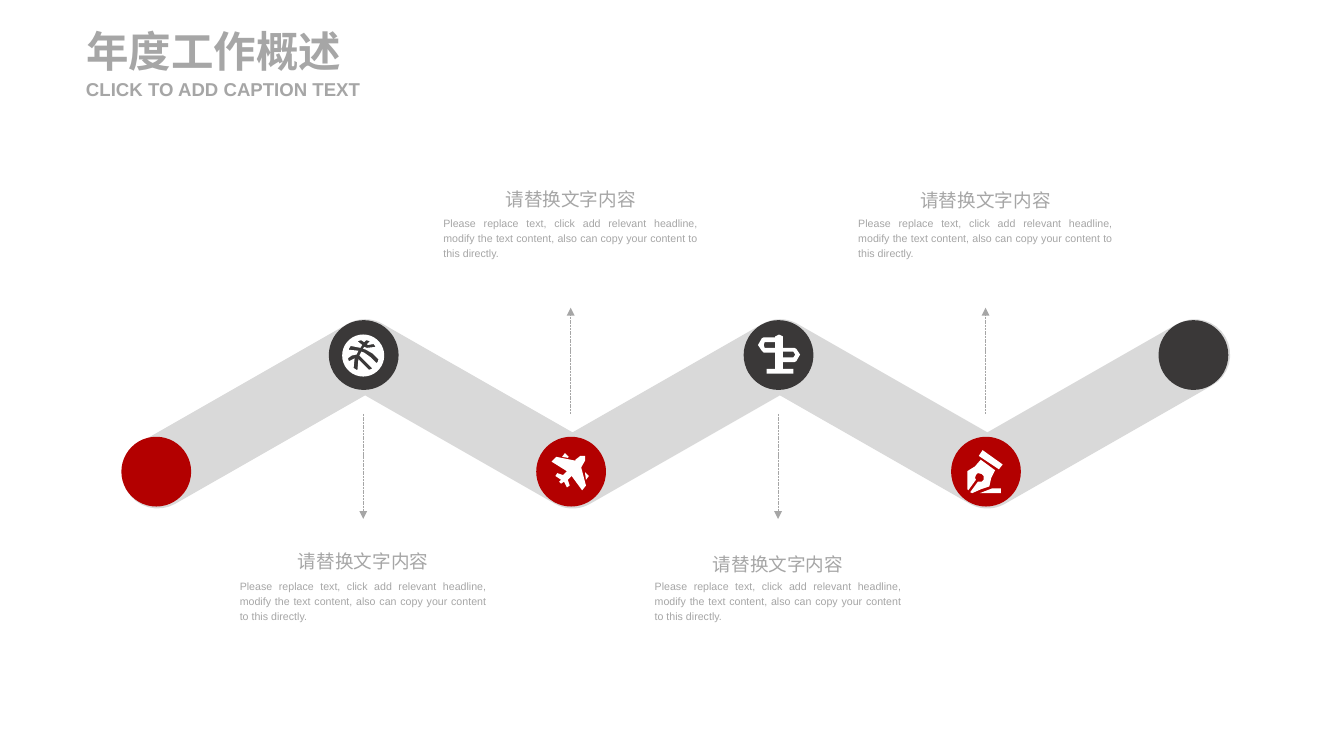
import math

from lxml import etree
from pptx import Presentation
from pptx.dml.color import RGBColor
from pptx.enum import dml, shapes, text
from pptx.oxml.ns import qn
from pptx.util import Inches, Pt

GREY = RGBColor(0xA6, 0xA6, 0xA6)
BAND_GREY = RGBColor(0xD9, 0xD9, 0xD9)
RED = RGBColor(0xB3, 0x00, 0x00)
DARK = RGBColor(0x3A, 0x38, 0x38)
WHITE = RGBColor(0xFF, 0xFF, 0xFF)

FONT = "Arial"
STAGE_COUNT = 6
STAGE_STEP = 2.17
CIRCLE_SIZE = 0.73
BAND_RADIUS = 0.37

HEADING = "请替换文字内容"
BODY = ("Please replace text, click add relevant headline, modify the text content, "
        "also can copy your content to this directly.")
# heading top, body top, body width, arrow end
CAPTIONS = [
    (5.66, 5.99, 2.78, 5.43),
    (1.87, 2.19, 2.86, 3.22),
    (5.69, 5.99, 2.78, 5.43),
    (1.88, 2.19, 2.86, 3.22),
]

# Icon outlines, in hundredths of an inch from the icon's top left corner
BALL = [
    [(22 + 22 * math.cos(math.radians(a)), 22 + 22 * math.sin(math.radians(a)))
     for a in range(0, 360, 10)],
    [(9, 12), (7, 15), (7, 16), (17, 17), (16, 19), (15, 21), (10, 22), (6, 25), (7, 28),
     (13, 25), (12, 35), (15, 37), (16, 37), (17, 26), (22, 31), (28, 37), (31, 36),
     (31, 35), (25, 29), (18, 22), (20, 18), (23, 19), (30, 24), (36, 30), (37, 29),
     (38, 26), (32, 20), (25, 16), (22, 15), (23, 13), (26, 14), (35, 13), (33, 10),
     (27, 11), (26, 10), (29, 7), (25, 6), (23, 8), (20, 6), (16, 7), (21, 11), (19, 14)],
]
PLANE = [
    [(35, 3), (35, 8), (31, 15), (36, 34), (32, 39), (21, 24), (17, 28), (19, 34),
     (16, 36), (13, 30), (10, 32), (8, 30), (10, 28), (4, 24), (6, 21), (12, 23),
     (16, 19), (0, 9), (5, 4), (25, 8), (25, 7), (30, 3)],
    [(39, 24), (35, 20), (35, 21), (36, 28)],
    [(14, 0), (11, 4), (17, 5), (18, 4)],
]
SIGNPOST = [
    [(26, 14), (38, 14), (40, 15), (44, 21), (40, 28), (38, 29), (26, 29), (26, 36),
     (37, 36), (37, 41), (9, 41), (9, 36), (18, 36), (18, 19), (6, 19), (4, 17), (0, 11),
     (4, 4), (6, 3), (18, 3), (18, 2), (22, 0), (26, 2)],
    [(18, 8), (7, 8), (6, 11), (7, 14), (18, 14)],
    [(37, 18), (26, 18), (26, 24), (37, 24), (39, 21)],
]
PEN = [
    [(1, 42), (0, 41), (0, 22), (8, 17), (14, 10), (29, 21), (25, 29), (23, 38), (14, 41),
     (5, 45), (3, 44), (11, 33), (15, 33), (17, 31), (17, 27), (15, 25), (11, 24),
     (9, 26), (8, 29), (9, 31)],
    [(13, 45), (35, 45), (35, 40), (26, 40)],
    [(33, 20), (37, 15), (16, 0), (12, 6)],
]
ICONS = [(BALL, 3.58, 3.5), (PLANE, 5.77, 4.74), (SIGNPOST, 7.93, 3.5), (PEN, 10.12, 4.71)]


def paint(shape, color):
    shape.shadow.inherit = False
    shape.fill.solid()
    shape.fill.fore_color.rgb = color
    shape.line.fill.background()


def set_text(shape, content, size, bold=False, align=text.PP_ALIGN.LEFT, spacing=1.0,
             anchor=text.MSO_ANCHOR.TOP, margin=None, wrap=True):
    frame = shape.text_frame
    frame.word_wrap = wrap
    frame.auto_size = text.MSO_AUTO_SIZE.NONE
    frame.vertical_anchor = anchor
    if margin is not None:
        frame.margin_left = frame.margin_right = Inches(margin)
        frame.margin_top = frame.margin_bottom = Inches(margin)
    paragraph = frame.paragraphs[0]
    paragraph.alignment = align
    paragraph.line_spacing = spacing
    run = paragraph.add_run()
    run.text = content
    run.font.name = FONT
    run.font.size = Pt(size)
    run.font.bold = bold
    run.font.color.rgb = GREY


def add_text(slide, content, left, top, width, height, **text_format):
    box = slide.shapes.add_textbox(Inches(left), Inches(top), Inches(width), Inches(height))
    set_text(box, content, **text_format)


def add_outline(slide, contours, color, left=0, top=0, unit=1.0):
    """Draw closed contours as one shape; inner contours become holes."""
    contours = [[(Inches(x * unit), Inches(y * unit)) for x, y in contour]
                for contour in contours]
    builder = slide.shapes.build_freeform(*contours[0][0])
    builder.add_line_segments(contours[0][1:], close=True)
    for contour in contours[1:]:
        builder.move_to(*contour[0])
        builder.add_line_segments(contour[1:], close=True)
    paint(builder.convert_to_shape(Inches(left), Inches(top)), color)


def band_outline(points, radius):
    """Outline a polyline with round ends and outer corners, sharp inner corners."""
    loop = points + points[-2:0:-1]
    outline = []
    for i, (x, y) in enumerate(loop):
        before, after = loop[i - 1], loop[(i + 1) % len(loop)]
        start = math.atan2(y - before[1], x - before[0]) - math.pi / 2
        end = math.atan2(after[1] - y, after[0] - x) - math.pi / 2
        turn = math.remainder(end - start, 2 * math.pi)
        if i in (0, len(points) - 1):
            turn = math.pi
        if turn > 0:
            angles = [start + turn * step / 16 for step in range(17)]
            reach = radius
        else:
            angles = [start + turn / 2]
            reach = radius / math.cos(turn / 2)
        outline += [(x + reach * math.cos(a), y + reach * math.sin(a)) for a in angles]
    return outline


def add_circle(slide, left, top, color):
    circle = slide.shapes.add_shape(shapes.MSO_SHAPE.OVAL, Inches(left), Inches(top),
                                    Inches(CIRCLE_SIZE), Inches(CIRCLE_SIZE))
    paint(circle, color)


def add_dashed_arrow(slide, x, start, end):
    arrow = slide.shapes.add_connector(shapes.MSO_CONNECTOR.STRAIGHT, Inches(x),
                                       Inches(start), Inches(x), Inches(end))
    arrow.line.color.rgb = GREY
    arrow.line.width = Pt(0.5)
    arrow.line.dash_style = dml.MSO_LINE.SQUARE_DOT
    etree.SubElement(arrow.line._get_or_add_ln(), qn("a:tailEnd"), type="triangle")
    etree.SubElement(arrow._element.spPr, qn("a:effectLst"))


def add_title(slide):
    title = slide.shapes.title
    title.left, title.top = Inches(0.9), Inches(0.26)
    title.width, title.height = Inches(3.07), Inches(0.54)
    heading = dict(bold=True, anchor=text.MSO_ANCHOR.MIDDLE, margin=0)
    set_text(title, "年度工作概述", size=32, **heading)
    add_text(slide, "CLICK TO ADD CAPTION TEXT", 0.9, 0.81, 3.07, 0.24, size=14, **heading)


def add_zigzag(slide):
    centres = [(1.65 + STAGE_STEP * i, 3.71 if i % 2 else 4.95) for i in range(STAGE_COUNT)]
    add_outline(slide, [band_outline(centres, BAND_RADIUS)], BAND_GREY)
    for i in range(STAGE_COUNT):
        top, color = (3.35, DARK) if i % 2 else (4.57, RED)
        add_circle(slide, 1.27 + STAGE_STEP * i, top, color)
    for contours, left, top in ICONS:
        add_outline(slide, contours, WHITE, left, top, unit=0.01)


def add_captions(slide):
    for i, (heading_top, body_top, width, arrow_end) in enumerate(CAPTIONS):
        x = 3.8 + STAGE_STEP * i
        add_dashed_arrow(slide, x, 4.33, arrow_end)
        add_text(slide, HEADING, x - 0.79, heading_top, 1.58, 0.36, size=14,
                 align=text.PP_ALIGN.CENTER, spacing=1.2, wrap=False)
        add_text(slide, BODY, x - width / 2, body_top, width, 0.57, size=8,
                 align=text.PP_ALIGN.JUSTIFY, spacing=1.2)


def main():
    presentation = Presentation()
    presentation.slide_width, presentation.slide_height = Inches(14.06), Inches(7.91)
    slide = presentation.slides.add_slide(presentation.slide_layouts[5])
    add_title(slide)
    add_zigzag(slide)
    add_captions(slide)
    presentation.save("out.pptx")


if __name__ == "__main__":
    main()
